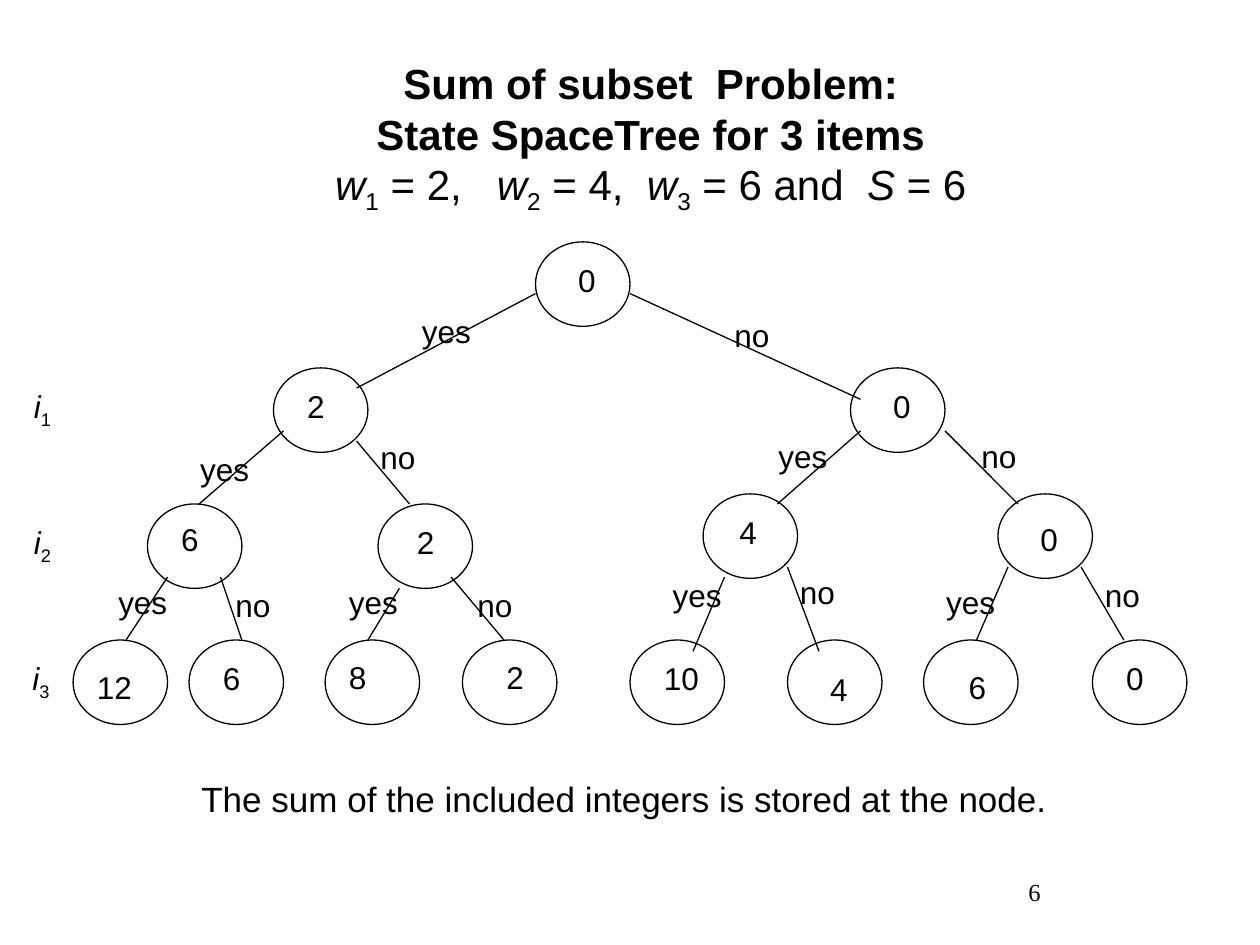
import dataclasses

import lxml.etree
import pptx
import pptx.dml.color
import pptx.enum.shapes
import pptx.enum.text
import pptx.oxml.ns
import pptx.util

Inches = pptx.util.Inches
Align = pptx.enum.text.PP_ALIGN
Anchor = pptx.enum.text.MSO_ANCHOR
AutoSize = pptx.enum.text.MSO_AUTO_SIZE


@dataclasses.dataclass(frozen=True)
class Theme:
    ink: pptx.dml.color.RGBColor = pptx.dml.color.RGBColor(0, 0, 0)
    paper: pptx.dml.color.RGBColor = pptx.dml.color.RGBColor(255, 255, 255)
    font: str = "Arial"
    number_font: str = "Times New Roman"
    title_size: int = 24
    note_size: int = 20
    label_size: int = 18
    number_size: int = 14
    stroke: float = 0.75


NODE_SIZE = (0.75, 0.67)
ITEM_SIZE = (0.36, 0.44)
LABEL_HEIGHT = 0.4
LABEL_WIDTHS = {"yes": 0.59, "no": 0.48, "12": 0.48, "10": 0.48}
DIGIT_WIDTH = 0.34

TITLE_LINES = [
    [("Sum of subset  Problem:", "bold")],
    [("State SpaceTree for 3 items", "bold")],
    [("w", "italic"), ("1", "sub"), (" = 2,   ", ""),
     ("w", "italic"), ("2", "sub"), (" = 4,  ", ""),
     ("w", "italic"), ("3", "sub"), (" = 6 and ", ""),
     (" S", "italic"), (" = 6", "")],
]

TREE_ROWS = [
    (1.92, [(4.25, "0", 4.49, 2.02)]),
    (2.92, [(2.17, "2", 2.34, 3.02), (6.75, "0", 6.99, 3.02)]),
    (4, [(1.17, "6", 1.34, 4.08), (3, "2", 3.21, 4.1)]),
    (3.92, [(5.58, "4", 5.77, 4.02), (7.92, "0", 8.16, 4.08)]),
    (5.08, [(0.58, "12", 0.67, 5.25), (1.5, "6", 1.67, 5.18),
            (2.58, "8", 2.67, 5.17), (3.67, "2", 3.92, 5.17),
            (5, "10", 5.17, 5.18), (6.25, "4", 6.49, 5.27),
            (7.33, "6", 7.59, 5.25), (8.67, "0", 8.84, 5.18)]),
]

BRANCH_PAIRS = [
    ((4.25, 2.33, 2.83, 3.08, 3.25, 2.43), (5, 2.33, 6.83, 3.17, 5.73, 2.46)),
    ((2.25, 3.42, 1.58, 4, 1.49, 3.52), (2.83, 3.5, 3.25, 4, 2.92, 3.43)),
    ((6.83, 3.42, 6.17, 4, 6.08, 3.42), (7.5, 3.42, 8.08, 4, 7.69, 3.42)),
    ((1.33, 4.58, 1, 5.08, 0.84, 4.58), (1.75, 4.58, 1.92, 5.08, 1.77, 4.6)),
    ((3.17, 4.67, 2.92, 5.08, 2.67, 4.58), (3.58, 4.58, 4, 5.08, 3.69, 4.6)),
    ((5.75, 4.58, 5.5, 5.17, 5.24, 4.52), (6.25, 4.5, 6.5, 5.17, 6.25, 4.5)),
    ((8, 4.5, 7.75, 5.08, 7.41, 4.58), (8.58, 4.5, 8.92, 5.08, 8.67, 4.52)),
]

ITEM_LABELS = [("1", 0.17, 3.02), ("2", 0.17, 4.1), ("3", 0.16, 5.18)]


class TreePage:
    def __init__(self, page, theme):
        self.page = page
        self.theme = theme
        page.background.fill.solid()
        page.background.fill.fore_color.rgb = theme.paper

    def span(self, para, text, size, style="", font=None):
        span = para.add_run()
        span.text = text
        span.font.name = font or self.theme.font
        span.font.size = pptx.util.Pt(size)
        span.font.color.rgb = self.theme.ink
        span.font.bold = style == "bold"
        span.font.italic = style == "italic"
        if style == "sub":
            span._r.get_or_add_rPr().set("baseline", "-25000")

    def title(self, lines, left, top, width, height):
        box = self.page.shapes.title
        box.left, box.top = Inches(left), Inches(top)
        box.width, box.height = Inches(width), Inches(height)
        frame = box.text_frame
        frame.auto_size = AutoSize.NONE
        frame.vertical_anchor = Anchor.MIDDLE
        para = frame.paragraphs[0]
        para.alignment = Align.CENTER
        for index, line in enumerate(lines):
            if index:
                para.add_line_break()
            for text, style in line:
                self.span(para, text, self.theme.title_size, style)

    def text(self, spans, left, top, width, height, size,
             align=Align.LEFT, font=None, fitted=False):
        box = self.page.shapes.add_textbox(
            Inches(left), Inches(top), Inches(width), Inches(height))
        frame = box.text_frame
        frame.word_wrap = not fitted
        frame.auto_size = AutoSize.SHAPE_TO_FIT_TEXT if fitted else AutoSize.NONE
        frame.vertical_anchor = Anchor.TOP if fitted else Anchor.MIDDLE
        para = frame.paragraphs[0]
        para.alignment = align
        for text, style in spans:
            self.span(para, text, size, style, font)

    def label(self, text, left, top):
        width = LABEL_WIDTHS.get(text, DIGIT_WIDTH)
        self.text([(text, "")], left, top, width, LABEL_HEIGHT,
                  self.theme.label_size, fitted=True)

    def item(self, number, left, top):
        self.text([("i", "italic"), (number, "sub")], left, top, *ITEM_SIZE,
                  self.theme.label_size, fitted=True)

    def outline(self, shape):
        shape.line.color.rgb = self.theme.ink
        shape.line.width = pptx.util.Pt(self.theme.stroke)

    def node(self, left, top):
        node = self.page.shapes.add_shape(
            pptx.enum.shapes.MSO_SHAPE.OVAL, Inches(left), Inches(top),
            *map(Inches, NODE_SIZE))
        node.shadow.inherit = False
        node.fill.background()
        self.outline(node)

    def branch(self, *ends):
        branch = self.page.shapes.add_connector(
            pptx.enum.shapes.MSO_CONNECTOR.STRAIGHT, *map(Inches, ends))
        self.outline(branch)
        lxml.etree.SubElement(
            branch._element.spPr, pptx.oxml.ns.qn("a:effectLst"))


def main():
    deck = pptx.Presentation()
    deck.slide_width, deck.slide_height = Inches(10), Inches(7.5)
    theme = Theme()
    tree = TreePage(deck.slides.add_slide(deck.slide_layouts[5]), theme)

    tree.title(TITLE_LINES, 0.75, 0.5, 8.83, 1.17)
    for top, nodes in TREE_ROWS:
        for left, value, value_left, value_top in nodes:
            tree.node(left, top)
            tree.label(value, value_left, value_top)
    for pair in BRANCH_PAIRS:
        for answer, (*ends, left, top) in zip(("yes", "no"), pair):
            tree.branch(*ends)
            tree.label(answer, left, top)
    for number, left, top in ITEM_LABELS:
        tree.item(number, left, top)
    tree.text([("The sum of the included integers is stored at the node.", "")],
              1.5, 6, 7.33, 0.67, theme.note_size)
    tree.text([("6", "")], 7.17, 6.83, 2.08, 0.5, theme.number_size,
              align=Align.CENTER, font=theme.number_font)
    deck.save("out.pptx")


if __name__ == "__main__":
    main()
